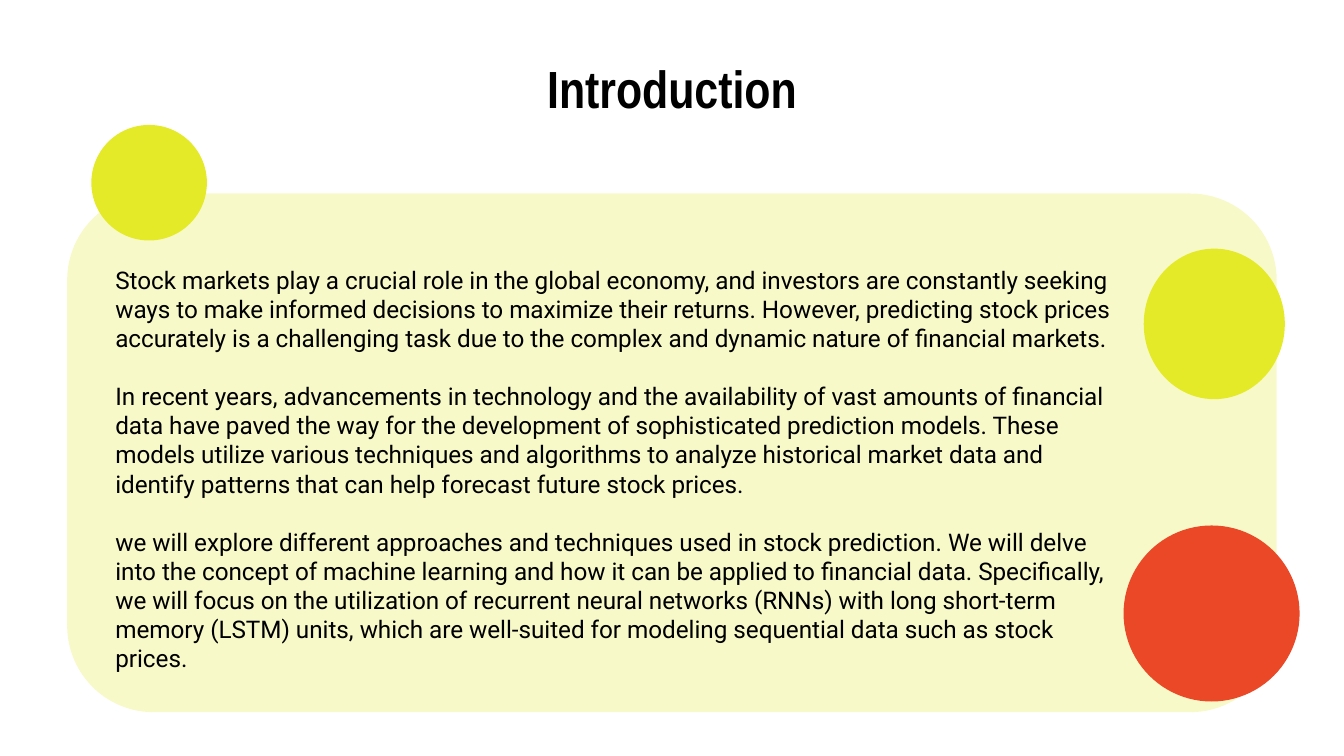
from lxml.etree import SubElement
from pptx import Presentation
from pptx.dml.color import RGBColor
from pptx.enum.shapes import MSO_SHAPE
from pptx.enum.text import MSO_ANCHOR, PP_ALIGN
from pptx.oxml.ns import qn
from pptx.util import Inches, Pt

WIDE = 10
HIGH = WIDE * 9 / 16
LIME, RED, BLACK = "E4EA27", "EA4827", "000000"
TITLE = "Introduction"
BODY = [
    "Stock markets play a crucial role in the global economy, and investors are constantly seeking ways to make informed decisions to maximize their returns. However, predicting stock prices accurately is a challenging task due to the complex and dynamic nature of financial markets.",
    "In recent years, advancements in technology and the availability of vast amounts of financial data have paved the way for the development of sophisticated prediction models. These models utilize various techniques and algorithms to analyze historical market data and identify patterns that can help forecast future stock prices.",
    "we will explore different approaches and techniques used in stock prediction. We will delve into the concept of machine learning and how it can be applied to financial data. Specifically, we will focus on the utilization of recurrent neural networks (RNNs) with long short-term memory (LSTM) units, which are well-suited for modeling sequential data such as stock prices.",
]
EDGE = 0.05 * WIDE
SPAN = WIDE - 2 * EDGE
PANEL = (EDGE, 1.44, SPAN, 3.86)
HEAD = (EDGE, 0.45, SPAN, 0.41)
COPY = (0.76, 1.87, 7.68, 3.1)
DOTS = [
    ((8.51, 1.85, 1.05, 1.12), LIME),
    ((8.36, 3.91, 1.31, 1.31), RED),
    ((0.68, 0.93, 0.86, 0.86), LIME),
]


def color(code):
    return RGBColor.from_string(code)


def place(box):
    return [Inches(n) for n in box]


def draw(slide, kind, box, code):
    shape = slide.shapes.add_shape(kind, *place(box))
    shape.shadow.inherit = False
    shape.fill.solid()
    shape.fill.fore_color.rgb = color(code)
    shape.line.fill.background()
    return shape


def write(frame, lines, face, size, bold, align, anchor, gap=0):
    frame.word_wrap = True
    frame.vertical_anchor = anchor
    frame.margin_left = frame.margin_right = Inches(0.1)
    frame.margin_top = frame.margin_bottom = Inches(0.1)
    frame.text = "\n".join(lines)
    for i, para in enumerate(frame.paragraphs):
        para.alignment = align
        para.space_before = Pt(gap if i else 0)
        for run in para.runs:
            font = run.font
            font.name, font.size, font.bold = face, Pt(size), bold
            font.color.rgb = color(BLACK)


def main():
    """Build the introduction slide."""
    deck = Presentation()
    deck.slide_width, deck.slide_height = Inches(WIDE), Inches(HIGH)
    slide = deck.slides.add_slide(deck.slide_layouts[5])

    panel = draw(slide, MSO_SHAPE.ROUNDED_RECTANGLE, PANEL, LIME)
    tint = next(panel.element.iter(qn("a:srgbClr")))
    SubElement(tint, qn("a:alpha"), val="25000")

    title = slide.shapes.title
    title.left, title.top, title.width, title.height = place(HEAD)
    write(title.text_frame, [TITLE], "Arial Narrow", 28, True,
          PP_ALIGN.CENTER, MSO_ANCHOR.MIDDLE)

    for box, code in DOTS:
        draw(slide, MSO_SHAPE.OVAL, box, code)

    body = slide.shapes.add_textbox(*place(COPY))
    write(body.text_frame, BODY, "Roboto", 13, False,
          PP_ALIGN.LEFT, MSO_ANCHOR.TOP, gap=15.6)
    deck.save("out.pptx")


if __name__ == "__main__":
    main()
